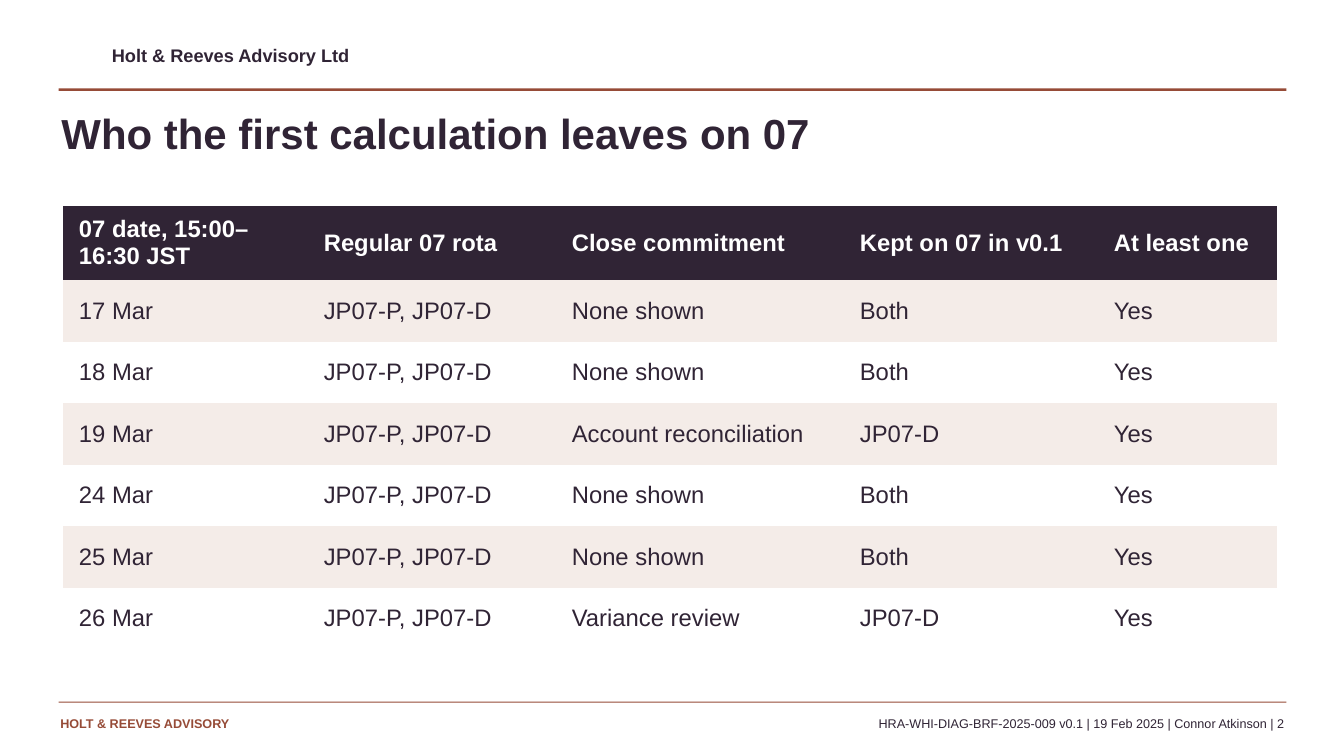
from pptx import Presentation
from pptx import util as u
from pptx.dml.color import RGBColor
from pptx.enum import shapes, text

COLORS = {"rust": "964B37", "plum": "302435", "blush": "F4ECE8", "white": "FFFFFF"}

prs = Presentation()
prs.slide_width, prs.slide_height = u.Cm(33.87), u.Cm(19.05)
s = prs.slides.add_slide(prs.slide_layouts[6])


def add_run(p, words, size, color, bold):
    r = p.add_run()
    r.text = words
    r.font.name = "Arial"
    r.font.size = u.Pt(size)
    r.font.bold = bold
    r.font.color.rgb = RGBColor.from_string(COLORS[color])


# Header and footer rules
for top, height in [(2.23, 0.06), (17.68, 0.03)]:
    sp = s.shapes.add_shape(shapes.MSO_SHAPE.RECTANGLE, u.Cm(1.48), u.Cm(top),
                            u.Cm(30.94), u.Cm(height))
    sp.shadow.inherit = False
    sp.fill.solid()
    sp.fill.fore_color.rgb = RGBColor.from_string(COLORS["rust"])
    sp.line.fill.background()

# Header, title and footer text
LEFT, RIGHT = text.PP_ALIGN.LEFT, text.PP_ALIGN.RIGHT
for box, words, size, color, bold, align in [
    ((2.82, 1.12, 15.24, 0.69), "Holt & Reeves Advisory Ltd", 13, "plum", True, LEFT),
    ((1.55, 2.72, 30.48, 1.98), "Who the first calculation leaves on 07", 30, "plum", True, LEFT),
    ((1.52, 18.03, 8.64, 0.64), "HOLT & REEVES ADVISORY", 9, "rust", True, LEFT),
    ((10.47, 18.03, 21.89, 0.58),
     "HRA-WHI-DIAG-BRF-2025-009 v0.1 | 19 Feb 2025 | Connor Atkinson | 2",
     9, "plum", False, RIGHT),
]:
    tf = s.shapes.add_textbox(*map(u.Cm, box)).text_frame
    tf.word_wrap = True
    tf.margin_left = tf.margin_right = tf.margin_top = tf.margin_bottom = 0
    p = tf.paragraphs[0]
    p.alignment = align
    add_run(p, words, size, color, bold)

# Rota table
ROTA = "JP07-P, JP07-D"
rows = [
    ("07 date, 15:00–16:30 JST", "Regular 07 rota", "Close commitment",
     "Kept on 07 in v0.1", "At least one"),
    ("17 Mar", ROTA, "None shown", "Both", "Yes"),
    ("18 Mar", ROTA, "None shown", "Both", "Yes"),
    ("19 Mar", ROTA, "Account reconciliation", "JP07-D", "Yes"),
    ("24 Mar", ROTA, "None shown", "Both", "Yes"),
    ("25 Mar", ROTA, "None shown", "Both", "Yes"),
    ("26 Mar", ROTA, "Variance review", "JP07-D", "Yes"),
]
widths = [6.17, 6.25, 7.26, 6.4, 4.5]
table = s.shapes.add_table(len(rows), len(widths), u.Cm(1.59), u.Cm(5.18),
                           u.Cm(sum(widths)), u.Cm(11.18)).table
for column, width in zip(table.columns, widths):
    column.width = u.Cm(width)

for i, row in enumerate(rows):
    header = i == 0
    table.rows[i].height = u.Cm(1.88 if header else 1.55)
    fill = "plum" if header else "blush" if i % 2 else "white"
    for j, words in enumerate(row):
        cell = table.cell(i, j)
        cell.fill.solid()
        cell.fill.fore_color.rgb = RGBColor.from_string(COLORS[fill])
        cell.vertical_anchor = text.MSO_ANCHOR.MIDDLE
        cell.margin_left = cell.margin_right = u.Cm(0.4)
        cell.margin_top = cell.margin_bottom = u.Cm(0.13)
        add_run(cell.text_frame.paragraphs[0], words, 17,
                "white" if header else "plum", header)

# Plain grid: no borders or banding from the default style
table.first_row = table.horz_banding = False
style = table._tbl.tblPr.find("{*}tableStyleId")
style.text = "{2D5ABB26-0587-4C30-8999-92F81FD0307C}"

prs.save("out.pptx")
